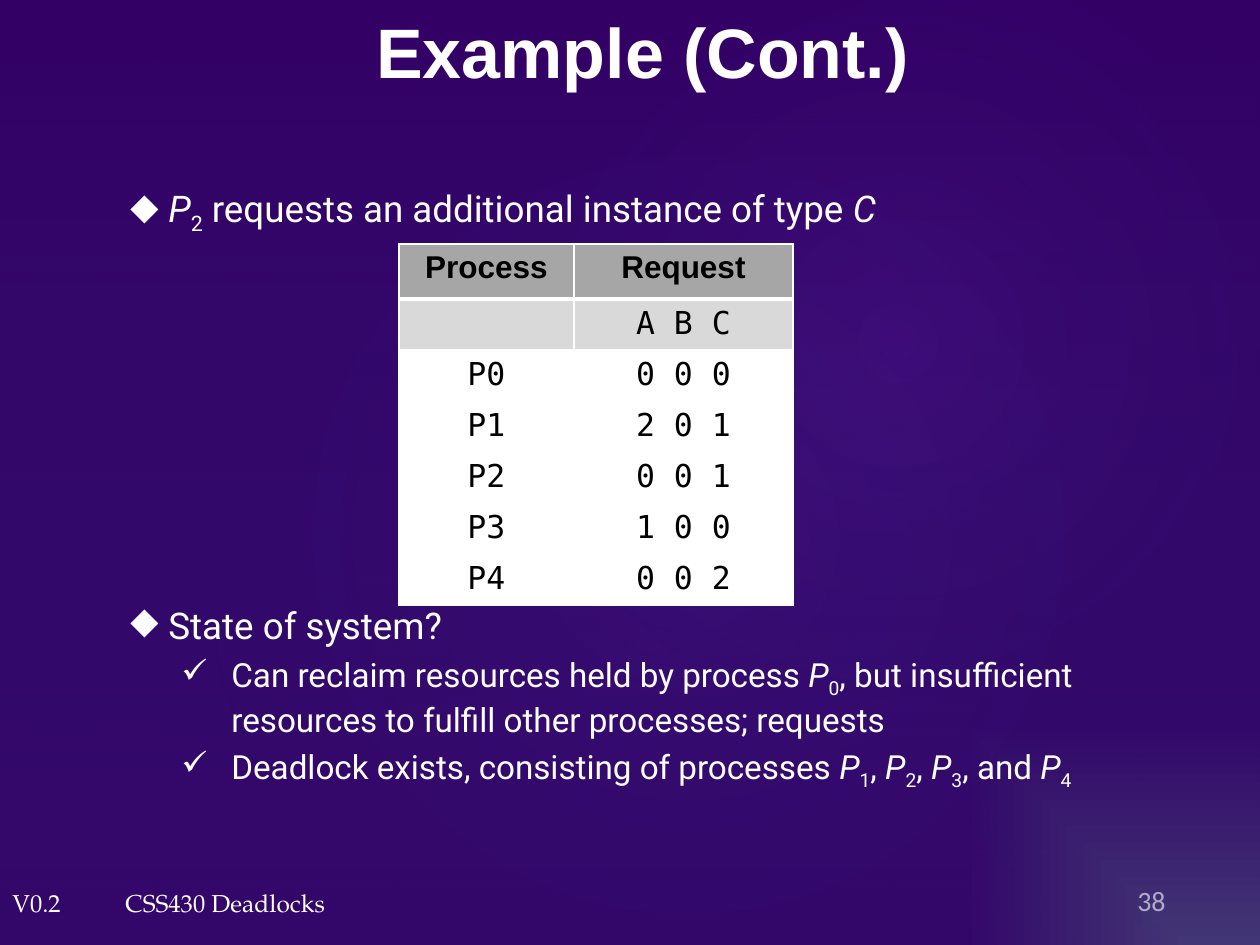
"""Build the deadlock example slide with its request table."""
import dataclasses

import lxml.etree
import pptx
import pptx.dml.color
import pptx.enum.shapes
import pptx.enum.text
import pptx.oxml
import pptx.oxml.ns
import pptx.util

ALIGN = pptx.enum.text.PP_ALIGN
ANCHOR = pptx.enum.text.MSO_ANCHOR
SHAPE = pptx.enum.shapes.MSO_SHAPE
qn = pptx.oxml.ns.qn


@dataclasses.dataclass(frozen=True)
class Theme:
    white: str = "FFFFFF"
    black: str = "000000"
    header: str = "A6A6A6"
    subheader: str = "D9D9D9"
    violet: str = "330066"
    purple: str = "A347FF"
    blue: str = "263B86"
    glow: str = "463673"
    night: str = "350267"
    title_font: str = "Arial"
    body_font: str = "Roboto"
    mono_font: str = "DejaVu Sans Mono"
    footer_font: str = "TeX Gyre Pagella"
    number_font: str = "Calibri"
    title_size: int = 40
    body_size: int = 21
    sub_size: int = 19
    table_size: int = 18
    number_size: int = 16
    footer_size: int = 14


def px(n):
    return pptx.util.Emu(round(n * 914400 / 126))


def rgb(color):
    return pptx.dml.color.RGBColor.from_string(color)


def sub(parent, tag, **attrs):
    return lxml.etree.SubElement(parent, qn(tag), {k: str(v) for k, v in attrs.items()})


class Deck:
    def __init__(self, theme):
        self.t = theme
        self.prs = pptx.Presentation()
        self.prs.slide_width, self.prs.slide_height = px(1260), px(945)
        self.s = self.prs.slides.add_slide(self.prs.slide_layouts[6])

    def gradient(self, props, stops, focus=None, shape="circle"):
        solid = props.find(qn("a:solidFill"))
        grad = pptx.oxml.parse_xml(f'<a:gradFill {pptx.oxml.ns.nsdecls("a")} rotWithShape="1"/>')
        stop_list = sub(grad, "a:gsLst")
        for pos, color, alpha in stops:
            clr = sub(sub(stop_list, "a:gs", pos=pos * 1000), "a:srgbClr", val=color)
            sub(clr, "a:alpha", val=alpha * 1000)
        if focus:
            rect = {k: v * 1000 for k, v in zip("ltrb", focus)}
            sub(sub(grad, "a:path", path=shape), "a:fillToRect", **rect)
        else:
            sub(grad, "a:lin", ang=90 * 60000, scaled=0)
        props.replace(solid, grad)

    def background(self, stops, focus):
        self.s.background.fill.solid()
        self.s.background.fill.fore_color.rgb = rgb(self.t.night)
        self.gradient(self.s.element.find(".//" + qn("p:bgPr")), stops, focus, "rect")

    def glow(self, kind, box, stops, focus=None, rotation=0):
        sp = self.s.shapes.add_shape(kind, *map(px, box))
        sp.shadow.inherit = False
        sp.line.fill.background()
        sp.fill.solid()
        sp.rotation = rotation
        self.gradient(sp.element.spPr, stops, focus)

    def run(self, p, text, font, size, color, bold=False, style="", alpha=None):
        r = p.add_run()
        r.text = text
        r.font.name, r.font.size, r.font.bold = font, pptx.util.Pt(size), bold
        r.font.italic = style == "italic"
        r.font.color.rgb = rgb(color)
        props = r.font.fill._xPr
        if style == "sub":
            props.set("baseline", "-25000")
        if alpha:
            sub(props.find(".//" + qn("a:srgbClr")), "a:alpha", val=alpha * 1000)

    def frame(self, box, anchor=ANCHOR.TOP, wrap=True):
        tf = self.s.shapes.add_textbox(*map(px, box)).text_frame
        tf.word_wrap = wrap
        tf.vertical_anchor = anchor
        return tf

    def label(self, box, text, font, size, align=ALIGN.LEFT, anchor=ANCHOR.TOP,
              wrap=True, bottom=6, **look):
        tf = self.frame(box, anchor, wrap)
        tf.margin_bottom = px(bottom)
        p = tf.paragraphs[0]
        p.alignment = align
        self.run(p, text, font, size, self.t.white, **look)

    def bullets(self, box, items):
        tf = self.frame(box, ANCHOR.MIDDLE)
        for i, (level, before, runs) in enumerate(items):
            p = tf.add_paragraph() if i else tf.paragraphs[0]
            char, margin, hang, size = (("◆", 38, 38, self.t.body_size),
                                        ("✓", 101, 50, self.t.sub_size))[level]
            pPr = p._p.get_or_add_pPr()
            pPr.set("marL", str(px(margin)))
            pPr.set("indent", str(-px(hang)))
            sub(pPr, "a:buChar", char=char)
            p.level = level
            p.space_before = pptx.util.Pt(before)
            for text, style in runs:
                self.run(p, text, self.t.body_font, size, self.t.white, style=style)

    def border(self, cell, bottom):
        tcPr = cell._tc.get_or_add_tcPr()
        for i, (side, width) in enumerate((("L", 1), ("R", 1), ("T", 1), ("B", bottom))):
            ln = pptx.oxml.parse_xml(f'<a:ln{side} {pptx.oxml.ns.nsdecls("a")} w="{width * 12700}"/>')
            sub(sub(ln, "a:solidFill"), "a:srgbClr", val=self.t.white)
            tcPr.insert(i, ln)

    def table(self, box, widths, heights, rows):
        t = self.t
        tbl = self.s.shapes.add_table(len(rows), len(widths), *map(px, box)).table
        for col, width in zip(tbl.columns, widths):
            col.width = px(width)
        for i, (row, height) in enumerate(zip(rows, heights)):
            tbl.rows[i].height = px(height)
            for j, text in enumerate(row):
                cell = tbl.cell(i, j)
                cell.fill.solid()
                cell.fill.fore_color.rgb = rgb((t.header, t.subheader)[i] if i < 2 else t.white)
                self.border(cell, 1 if i else 2)
                p = cell.text_frame.paragraphs[0]
                p.alignment = ALIGN.CENTER
                if text:
                    font = t.mono_font if i else t.title_font
                    self.run(p, text, font, t.table_size, t.black, bold=i == 0)


def process(n):
    return [("P", "italic"), (str(n), "sub")]


def main():
    t = Theme()
    d = Deck(t)
    d.background([(0, t.glow, 100), (47, t.night, 100)], (100, 100, 0, 0))
    d.glow(SHAPE.RECTANGLE, (0, 0, 1260, 945), [(0, t.violet, 36), (100, t.blue, 10)])
    for box, alpha in (((189, 144, 998, 786), 7), ((451, 16, 893, 655), 8)):
        d.glow(SHAPE.OVAL, box, [(0, t.purple, alpha), (58, t.blue, 0)], (50,) * 4, 328.7)
    d.label((0, 882, 74, 43), "V0.2", t.footer_font, t.footer_size, wrap=False)
    d.label((113, 882, 716, 43), "CSS430 Deadlocks", t.footer_font, t.footer_size)
    d.label((1037, 873, 141, 50), "38", t.number_font, t.number_size,
            ALIGN.RIGHT, ANCHOR.MIDDLE, bottom=1, alpha=60)
    d.label((107, 0, 1071, 100), "Example (Cont.)", t.title_font, t.title_size,
            ALIGN.CENTER, ANCHOR.MIDDLE, bold=True)
    d.bullets((118, 155, 1063, 667), [
        (0, 0, process(2) + [(" requests an additional instance of type", ""), (" C", "italic")]),
        (0, 210, [("State of system?", "")]),
        (1, 4, [("Can reclaim resources held by process ", ""), *process(0),
                (", but insufficient resources to fulfill other processes; requests", "")]),
        (1, 4, [("Deadlock exists, consisting of processes ", ""), *process(1), (", ", ""),
                *process(2), (", ", ""), *process(3), (", and ", ""), *process(4)]),
    ])
    requests = ["0 0 0", "2 0 1", "0 0 1", "1 0 0", "0 0 2"]
    rows = [("Process", "Request"), ("", "A B C")]
    rows += [(f"P{n}", request) for n, request in enumerate(requests)]
    d.table((399, 244, 394, 361), (175, 219), [55] + [51] * 6, rows)
    d.prs.save("out.pptx")


if __name__ == "__main__":
    main()
